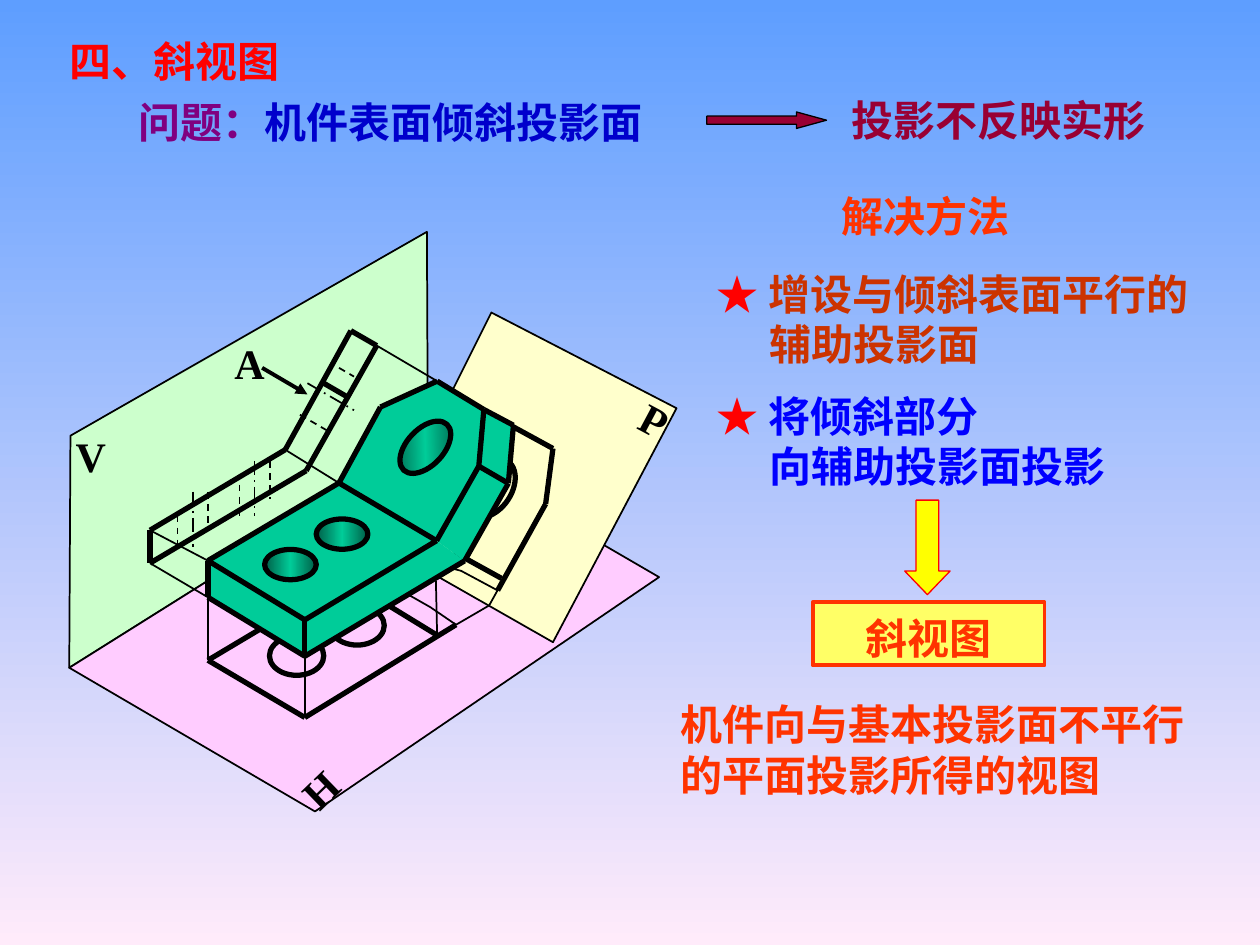
"""Build the oblique view slide: projection planes, bent part and explanation."""
from copy import deepcopy
from pptx import Presentation
from pptx.dml.color import RGBColor
from pptx.enum import dml, shapes, text
from pptx.oxml import ns, xmlchemy
from pptx.util import Pt

theme = {
    "size": 24, "leading": 28.8, "latin": "Times New Roman", "cjk": "Noto Sans CJK SC",
    "sky": ["5E9EFF", "FFEBFA"], "hole": ["005E47", "00CC99", "005E47"],
    "black": "000000", "red": "FF0000", "orange": "FF3300", "rust": "CC3300",
    "purple": "800080", "navy": "0000CC", "blue": "0000FF", "wine": "990033",
    "front": "CCFFCC", "floor": "FFCCFF", "oblique": "FFFFCC", "part": "00CC99",
    "lemon": "FFFF66", "yellow": "FFFF00",
}
LEFT, CENTER = text.PP_ALIGN.LEFT, text.PP_ALIGN.CENTER
TOP, MIDDLE = text.MSO_ANCHOR.TOP, text.MSO_ANCHOR.MIDDLE
DASH, CHAIN = dml.MSO_LINE.DASH, dml.MSO_LINE.LONG_DASH_DOT


def paint_gradient(fill, colors, angle):
    """Spread the colors evenly along a linear gradient."""
    fill.gradient()
    fill.gradient_angle = angle
    first = fill.gradient_stops[0]._gs
    for _ in colors[2:]:
        first.addnext(deepcopy(first))
    for index, (stop, color) in enumerate(zip(fill.gradient_stops, colors)):
        stop.position = index / (len(colors) - 1)
        stop.color.rgb = RGBColor.from_string(color)


def write(shape, lines, font, align, anchor, wrap=True):
    """Write lines of (wording, color) runs; a leading number is an indent."""
    frame = shape.text_frame
    frame_format = {"word_wrap": wrap, "vertical_anchor": anchor,
                    "margin_left": Pt(7.2), "margin_right": Pt(7.2),
                    "margin_top": Pt(5.6), "margin_bottom": Pt(1.6),
                    "auto_size": text.MSO_AUTO_SIZE.SHAPE_TO_FIT_TEXT}
    for name, value in frame_format.items():
        setattr(frame, name, value)
    for index, (indent, *runs) in enumerate(lines):
        paragraph = frame.add_paragraph() if index else frame.paragraphs[0]
        properties = paragraph._p.get_or_add_pPr()
        properties.set("marL", str(Pt(indent)))
        properties.set("indent", "0")
        properties.append(xmlchemy.OxmlElement("a:buNone"))
        paragraph_format = {"alignment": align, "space_before": Pt(0),
                            "line_spacing": Pt(theme["leading"])}
        for name, value in paragraph_format.items():
            setattr(paragraph, name, value)
        for wording, color in runs:
            run = paragraph.add_run()
            run.text = wording
            run.font.color.rgb = RGBColor.from_string(theme[color])
            for name, value in {"size": Pt(theme["size"]), "bold": True, "name": theme[font]}.items():
                setattr(run.font, name, value)
            east_asian = xmlchemy.OxmlElement("a:ea")
            east_asian.set("typeface", theme["cjk"])
            run.font._element.find(ns.qn("a:latin")).addnext(east_asian)


presentation = Presentation()
presentation.slide_width, presentation.slide_height = Pt(720), Pt(540)
slide = presentation.slides.add_slide(presentation.slide_layouts[3])
paint_gradient(slide.background.fill, theme["sky"], 270)

plane_corners = {
    "1": (244, 132.5), "2": (244.5, 253), "3": (39.6, 381.6), "4": (40.3, 249),
    "5": (376.6, 329.8), "6": (180, 463.7),
    "7": (316, 367), "8": (386.6, 233.3), "9": (280.8, 178.6), "0": (215.3, 309.6)}
part_corners = {
    "a": (118.8, 320.4), "A": (118.8, 341.3), "b": (174.2, 354.2), "B": (174.2, 375),
    "c": (249.5, 309), "d": (193.7, 276), "e": (265.5, 320.5), "f": (290.5, 276.2),
    "g": (273.6, 266.4), "h": (276.5, 234), "i": (249.8, 217.8), "j": (217.4, 232.6),
    "k": (293.4, 243)}
front_corners = {
    "O": (85.7, 303), "P": (85.7, 321.8), "Q": (163, 257), "R": (175, 269),
    "S": (200.5, 189), "T": (215.3, 197.5)}
floor_corners = {
    "m": (118.8, 377.3), "n": (174.2, 410), "o": (260.6, 357), "p": (149, 359.3),
    "q": (249.8, 363), "r": (222.5, 346.3), "s": (249.1, 332), "t": (246, 347),
    "l": (233.3, 339.8)}
oblique_corners = {
    "u": (316, 256.3), "v": (311.8, 288), "w": (284.4, 337.4), "x": (286.6, 330.5),
    "y": (259.2, 315.4), "z": (285.8, 239.8), "N": (279.5, 346), "L": (263.5, 326.2),
    "M": (254.9, 324)}
sight_ends = {"V": (149.8, 210.2), "W": (175.7, 225.4)}
points = {**plane_corners, **part_corners, **front_corners, **floor_corners,
          **oblique_corners, **sight_ends}

hole_marks = [
    (style, ((x + step * 35.3, y - step * 17.6), (x + step * 35.3, y + length - step * 17.6)))
    for step in range(2)
    for style, x, y, length in [(CHAIN, 110.2, 281, 31.5), (DASH, 101.5, 294.5, 18),
                                (DASH, 118.8, 281, 22)]]
slant_marks = [
    (style, ((x, y), (x + run, y + run * 0.58)))
    for style, x, y, run in [(CHAIN, 175.7, 219, 26.6), (DASH, 171.4, 237, 18),
                             (DASH, 193.7, 210.2, 8.6), (None, 185, 219, 13)]]
drawing = [
    ("outline", "front", 1, ["1234"]),
    ("outline", "floor", 1, ["3256"]),
    ("lines", None, 1, "AP aO dQ Ti".split()),
    ("lines", None, 3, "OP OQ PR QS RT ST".split()),
    *[("lines", style, 1 if style else 3, [mark]) for style, mark in hole_marks + slant_marks],
    ("lines", None, 1, "sq Am Bn".split()),
    ("lines", None, 3, "no mp mn qr".split()),
    ("outline", None, 1, ["otl"]),
    ("ovals", None, 3, [(x, y, 31, 22.3, 0) for x, y in [(154, 363.6), (188.6, 346.3)]]),
    ("outline", "oblique", 1, ["7890"]),
    ("lines", None, 1, "vN oN".split()),
    ("lines", None, 3, "uv yx vw uz".split()),
    ("outline", None, 1, ["wLM"]),
    ("ovals", None, 3, [(267.8, 260.6, 24.5, 36.7, 33.6)]),
    ("outline", "part", 0, "abceBA djikfec adcb".split()),
    ("lines", None, 3, "da aA ab AB dc bB eB cb ef fg cg dj ih hg ij kf hk".split()),
    ("ovals", "hole", 3, [(x, y, 29.5, 17.3, 0) for x, y in [(151.2, 314), (180.7, 296.6)]]),
    ("ovals", "hole", 3, [(232.6, 237.6, 20.9, 36, 43.4)]),
    ("lines", "arrow", 2.25, ["VW"]),
]
for kind, style, weight, items in drawing:
    for item in items:
        if kind == "ovals":
            *box, rotation = item
            shape = slide.shapes.add_shape(shapes.MSO_SHAPE.OVAL, *map(Pt, box))
            shape.rotation = rotation
        else:
            corners = [tuple(map(Pt, points.get(corner, corner))) for corner in item]
            if kind == "outline":
                builder = slide.shapes.build_freeform(*corners[0])
                builder.add_line_segments(corners[1:], close=style is not None)
                shape = builder.convert_to_shape()
            else:
                shape = slide.shapes.add_connector(
                    shapes.MSO_CONNECTOR.STRAIGHT, *corners[0], *corners[1])
        if weight:
            shape.line.color.rgb = RGBColor.from_string(theme["black"])
            shape.line.width = Pt(weight)
        else:
            shape.line.fill.background()
        if kind == "lines":
            shape._element.spPr.append(xmlchemy.OxmlElement("a:effectLst"))
            if style == "arrow":
                head = xmlchemy.OxmlElement("a:tailEnd")
                head.set("type", "triangle")
                shape.line._get_or_add_ln().append(head)
            elif style:
                shape.line.dash_style = style
            continue
        shape.shadow.inherit = False
        if style == "hole":
            paint_gradient(shape.fill, theme["hole"], 45 if shape.rotation else 0)
        elif style:
            shape.fill.solid()
            shape.fill.fore_color.rgb = RGBColor.from_string(theme[style])
        else:
            shape.fill.background()

for letter, left, top, rotation in [
        ("V", 36, 240.5, 0), ("H", 165, 432, 316), ("P", 359.3, 220.3, 28.2), ("A", 126.7, 187.2, 0)]:
    label = slide.shapes.add_textbox(Pt(left), Pt(top), Pt(31.7), Pt(36))
    label.rotation = rotation
    write(label, [(0, (letter, "black"))], "latin", CENTER, MIDDLE, wrap=False)

title, first_step, second_step = slide.placeholders
passages = [
    (title, (32.4, 14.4, 163.4), "cjk", LEFT, TOP, [(0, ("四、斜视图", "red"))]),
    (None, (72, 49.7, 355.7), "latin", LEFT, TOP,
     [(0, ("问题：", "purple"), ("机件表面倾斜投影面", "navy"))]),
    (first_step, (402.5, 147.6, 317.5), "latin", LEFT, TOP,
     [(0, ("★ ", "red"), ("增设与倾斜表面平行的", "rust")), (30, ("辅助投影面", "rust"))]),
    (None, (434.9, 103, 187.9), "latin", CENTER, MIDDLE, [(0, ("解决方法", "orange"))]),
    (second_step, (402.5, 217.4, 296.6), "latin", LEFT, MIDDLE,
     [(0, ("★ ", "red"), ("将倾斜部分", "blue")), (30, ("向辅助投影面投影", "blue"))]),
    (None, (381.6, 393.8, 338.4), "cjk", LEFT, TOP,
     [(0, ("机件向与基本投影面不平行", "orange")), (0, ("的平面投影所得的视图", "orange"))]),
    (None, (479.5, 48.2, 219.6), "latin", LEFT, TOP, [(0, ("投影不反映实形", "wine"))]),
]
for shape, box, font, align, anchor, lines in passages:
    box = (*box, 7.2 + len(lines) * theme["leading"])
    shape = shape or slide.shapes.add_textbox(*map(Pt, box))
    for name, value in zip(("left", "top", "width", "height"), box):
        setattr(shape, name, Pt(value))
    write(shape, lines, font, align, anchor)

for preset, box, adjustments, fill, edge, weight, lines in [
        ("RIGHT_ARROW", (403.9, 64, 68.4, 9.4), (0.5, 1.82), "wine", "black", 0.75, []),
        ("RECTANGLE", (464.4, 344.2, 132.5, 36), (), "lemon", "orange", 2.25,
         [(0, ("斜视图", "orange"))]),
        ("DOWN_ARROW", (517, 285.8, 25.9, 54), (0.5, 0.52), "yellow", "red", 0.75, [])]:
    shape = slide.shapes.add_shape(getattr(shapes.MSO_SHAPE, preset), *map(Pt, box))
    shape.shadow.inherit = False
    for index, value in enumerate(adjustments):
        shape.adjustments[index] = value
    shape.fill.solid()
    shape.fill.fore_color.rgb = RGBColor.from_string(theme[fill])
    shape.line.color.rgb = RGBColor.from_string(theme[edge])
    shape.line.width = Pt(weight)
    if lines:
        write(shape, lines, "cjk", CENTER, MIDDLE)

presentation.save("out.pptx")
